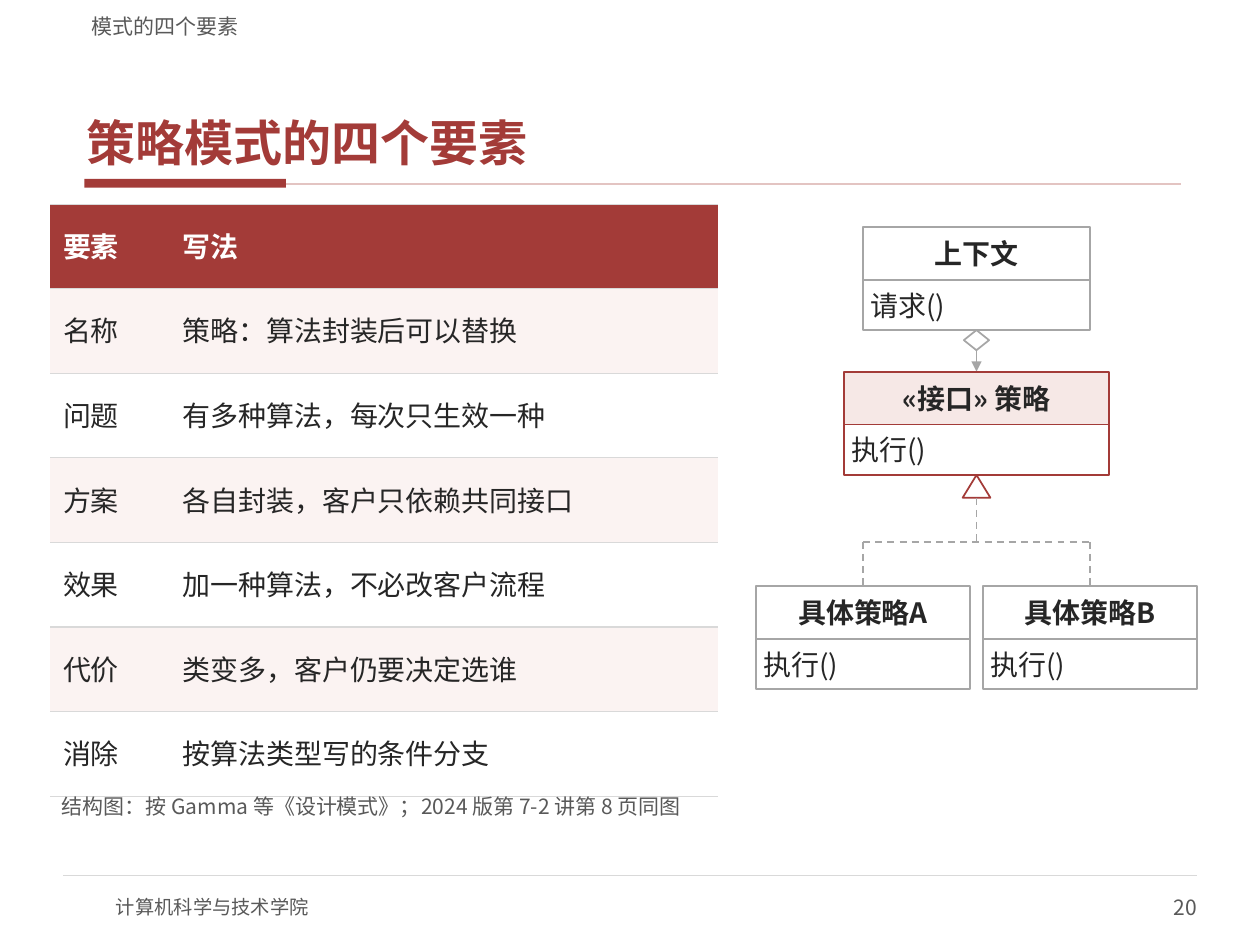
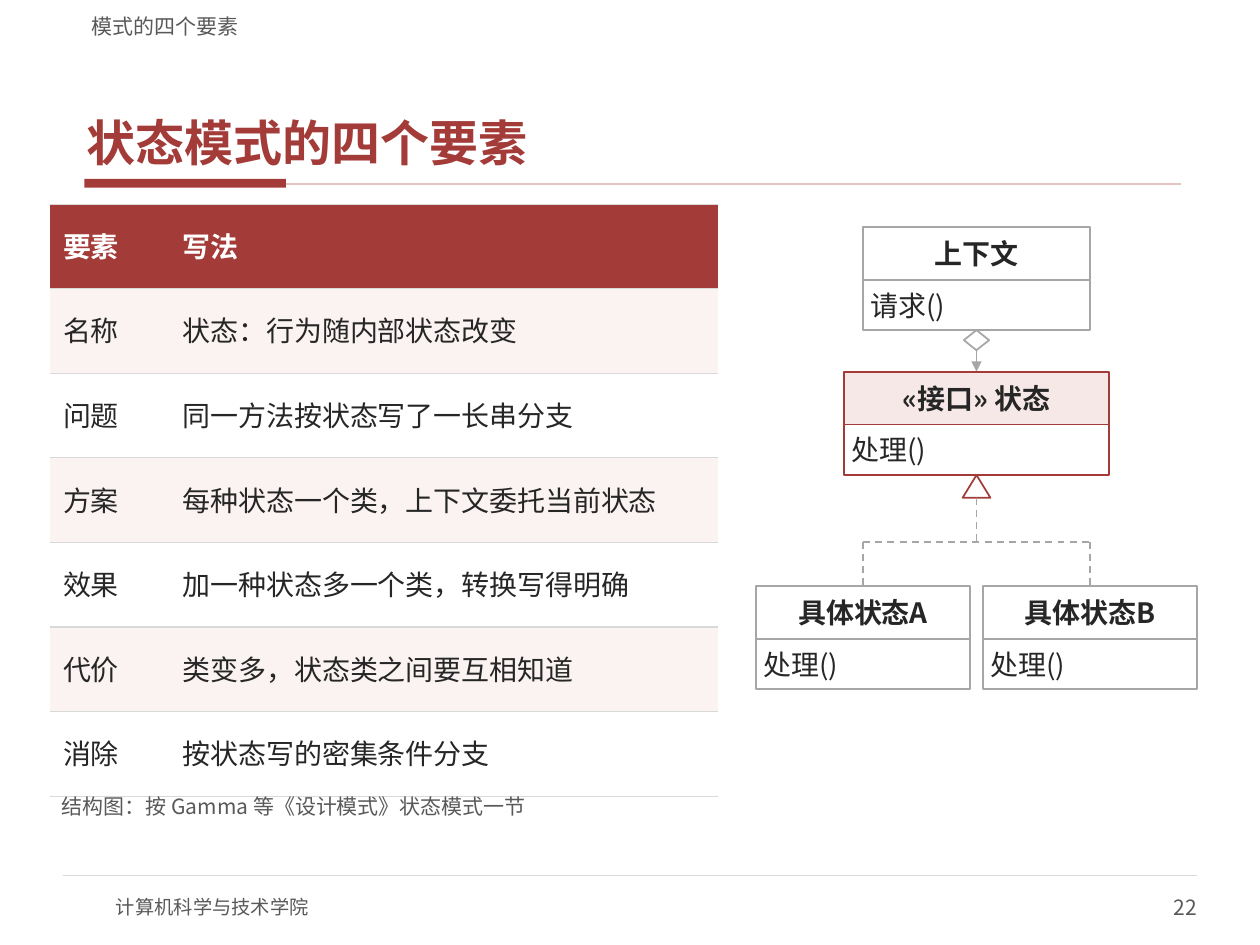
from lxml import etree
from pptx import Presentation
from pptx.dml.color import RGBColor
from pptx.enum.dml import MSO_LINE
from pptx.enum.shapes import MSO_CONNECTOR, MSO_SHAPE
from pptx.enum.text import MSO_ANCHOR, MSO_AUTO_SIZE, PP_ALIGN
from pptx.oxml.ns import qn
from pptx.util import Pt

RECT, DIAMOND, TRIANGLE = MSO_SHAPE.RECTANGLE, MSO_SHAPE.DIAMOND, MSO_SHAPE.ISOSCELES_TRIANGLE
STRAIGHT, DASH = MSO_CONNECTOR.STRAIGHT, MSO_LINE.DASH
LEFT, CENTER, RIGHT = PP_ALIGN.LEFT, PP_ALIGN.CENTER, PP_ALIGN.RIGHT
MIDDLE, BOTTOM = MSO_ANCHOR.MIDDLE, MSO_ANCHOR.BOTTOM
NO_FIT = MSO_AUTO_SIZE.NONE

FONT = "Noto Sans CJK SC"
COLORS = {
    "accent": "A33B38", "accent_line": "E3C4C2", "accent_fill": "F6E8E6",
    "band": "FBF3F2", "white": "FFFFFF", "ink": "262626",
    "muted": "595959", "rule": "D9D9D9", "gray": "A6A6A6",
}
ELEMENTS = ["名称", "问题", "方案", "效果", "代价", "消除"]
NAME_H, METHOD_H = 30.24, 28.8
AXIS, CONTEXT_TOP, INTERFACE_TOP, CONCRETE_TOP = 558, 129.6, 212.4, 334.8
BRANCH_Y = 309.6

PATTERNS = [
    {
        "name": "策略", "method": "执行()", "page": "20",
        "entries": ["策略：算法封装后可以替换", "有多种算法，每次只生效一种",
                    "各自封装，客户只依赖共同接口", "加一种算法，不必改客户流程",
                    "类变多，客户仍要决定选谁", "按算法类型写的条件分支"],
        "source": "结构图：按 Gamma 等《设计模式》；2024 版第 7-2 讲第 8 页同图",
    },
    {
        "name": "状态", "method": "处理()", "page": "22",
        "entries": ["状态：行为随内部状态改变", "同一方法按状态写了一长串分支",
                    "每种状态一个类，上下文委托当前状态", "加一种状态多一个类，转换写得明确",
                    "类变多，状态类之间要互相知道", "按状态写的密集条件分支"],
        "source": "结构图：按 Gamma 等《设计模式》状态模式一节",
    },
]


def rgb(color):
    return RGBColor.from_string(COLORS[color])


class Deck:
    def __init__(self):
        self.prs = Presentation()
        self.prs.slide_width, self.prs.slide_height = Pt(720), Pt(540)
        self.s = None

    def add_slide(self, title, page):
        self.s = self.prs.slides.add_slide(self.prs.slide_layouts[5])
        self.shape(RECT, 48.24, 102.24, 115.2, 5.04, "accent")
        self.line(163.44, 105.12, 674.64, 105.12, "accent_line")
        self.line(36, 500.4, 684, 500.4, "rule", 0.75)
        self.text("计算机科学与技术学院", 66.24, 504, 288, 28.8, 11)
        self.text(page, 540, 504, 144, 28.8, 12, align=RIGHT)
        self.text("模式的四个要素", 45.36, 2.88, 630, 19.44, 12, BOTTOM, (7.2, 0))
        self.title(title)

    def style(self, p, size, color, bold=False, align=LEFT):
        p.alignment = align
        for r in p.runs:
            r.font.name, r.font.size, r.font.bold = FONT, Pt(size), bold
            r.font.color.rgb = rgb(color)
            etree.SubElement(r.font._element, qn("a:ea"), typeface=FONT)

    def frame(self, tf, text, anchor, margins):
        tf.text = text
        tf.word_wrap, tf.auto_size, tf.vertical_anchor = True, NO_FIT, anchor
        tf.margin_left = tf.margin_right = Pt(margins[0])
        tf.margin_top = tf.margin_bottom = Pt(margins[1])
        return tf.paragraphs[0]

    def title(self, text):
        sp = self.s.shapes.title
        sp.left, sp.top, sp.width, sp.height = Pt(45.36), Pt(23.76), Pt(630), Pt(75.6)
        p = self.frame(sp.text_frame, text, BOTTOM, (4.32, 1.44))
        p.space_after = Pt(2)
        self.style(p, 28, "accent", True)

    def text(self, text, x, y, w, h, size, anchor=MIDDLE, margins=(0, 0), align=LEFT):
        sp = self.s.shapes.add_textbox(Pt(x), Pt(y), Pt(w), Pt(h))
        p = self.frame(sp.text_frame, text, anchor, margins)
        self.style(p, size, "muted", align=align)

    def shape(self, kind, x, y, w, h, fill, outline=None):
        sp = self.s.shapes.add_shape(kind, Pt(x), Pt(y), Pt(w), Pt(h))
        sp.shadow.inherit = False
        sp.fill.solid()
        sp.fill.fore_color.rgb = rgb(fill)
        if outline:
            sp.line.color.rgb, sp.line.width = rgb(outline), Pt(1)
        else:
            sp.line.fill.background()
        return sp

    def line(self, x1, y1, x2, y2, color="gray", width=1, dash=None, arrow=False):
        c = self.s.shapes.add_connector(STRAIGHT, Pt(x1), Pt(y1), Pt(x2), Pt(y2))
        c.line.color.rgb, c.line.width = rgb(color), Pt(width)
        if dash:
            c.line.dash_style = dash
        spPr = c._element.spPr
        if arrow:
            etree.SubElement(spPr.find(qn("a:ln")), qn("a:tailEnd"), type="triangle")
        etree.SubElement(spPr, qn("a:effectLst"))

    def class_box(self, name, method, center, y, w, outline="gray", fill="white"):
        x = center - w / 2
        parts = [(name, y, NAME_H, fill, True, CENTER),
                 (method, y + NAME_H, METHOD_H, "white", False, LEFT)]
        for text, top, h, color, bold, align in parts:
            sp = self.shape(RECT, x, top, w, h, color, outline)
            p = self.frame(sp.text_frame, text, MIDDLE, (4.32, 2.16))
            self.style(p, 16, "ink", bold, align)

    def borders(self, cell):
        tcPr = cell._tc.get_or_add_tcPr()
        for i, side in enumerate(["lnL", "lnR", "lnT", "lnB"]):
            ln = etree.Element(qn(f"a:{side}"), w=str(Pt(0.75)))
            if side in ("lnT", "lnB"):
                fill = etree.SubElement(ln, qn("a:solidFill"))
                etree.SubElement(fill, qn("a:srgbClr"), val=COLORS["rule"])
            else:
                etree.SubElement(ln, qn("a:noFill"))
            tcPr.insert(i, ln)

    def table(self, rows, x, y, widths, row_h):
        tbl = self.s.shapes.add_table(len(rows), len(widths), Pt(x), Pt(y),
                                      Pt(sum(widths)), Pt(row_h * len(rows))).table
        for col, w in zip(tbl.columns, widths):
            col.width = Pt(w)
        for i, row in enumerate(rows):
            tbl.rows[i].height = Pt(row_h)
            fill = "accent" if i == 0 else "band" if i % 2 else "white"
            for j, text in enumerate(row):
                cell = tbl.cell(i, j)
                cell.text_frame.text = text
                cell.vertical_anchor = MIDDLE
                cell.fill.solid()
                cell.fill.fore_color.rgb = rgb(fill)
                self.borders(cell)
                p = cell.text_frame.paragraphs[0]
                p.line_spacing, p.space_after = 0.9, Pt(2)
                self.style(p, 16, "ink" if i else "white", i == 0)

    def structure(self, name, method):
        box_h = NAME_H + METHOD_H
        diamond_top, triangle_top = CONTEXT_TOP + box_h, INTERFACE_TOP + box_h
        self.class_box("上下文", "请求()", AXIS, CONTEXT_TOP, 129.6)
        self.shape(DIAMOND, AXIS - 7.2, diamond_top, 14.4, 11.52, "white", "gray")
        self.line(AXIS, diamond_top + 11.52, AXIS, INTERFACE_TOP, arrow=True)
        self.class_box(f"«接口» {name}", method, AXIS, INTERFACE_TOP, 151.2,
                       "accent", "accent_fill")
        self.shape(TRIANGLE, AXIS - 7.92, triangle_top, 15.84, 12.96, "white", "accent")
        self.line(AXIS, triangle_top + 12.96, AXIS, BRANCH_Y, dash=DASH)
        self.line(AXIS - 64.8, BRANCH_Y, AXIS + 64.8, BRANCH_Y, dash=DASH)
        for letter, center in [("A", AXIS - 64.8), ("B", AXIS + 64.8)]:
            self.line(center, BRANCH_Y, center, CONCRETE_TOP, dash=DASH)
            self.class_box(f"具体{name}{letter}", method, center, CONCRETE_TOP, 122.4)


def main():
    deck = Deck()
    for pattern in PATTERNS:
        deck.add_slide(f"{pattern['name']}模式的四个要素", pattern["page"])
        rows = [("要素", "写法"), *zip(ELEMENTS, pattern["entries"])]
        deck.table(rows, 28.8, 116.64, [68.4, 313.2], 48.34)
        deck.structure(pattern["name"], pattern["method"])
        deck.text(pattern["source"], 32.4, 453.6, 655.2, 15.84, 12, BOTTOM, (2.88, 1.44))
    deck.prs.save("out.pptx")


if __name__ == "__main__":
    main()
